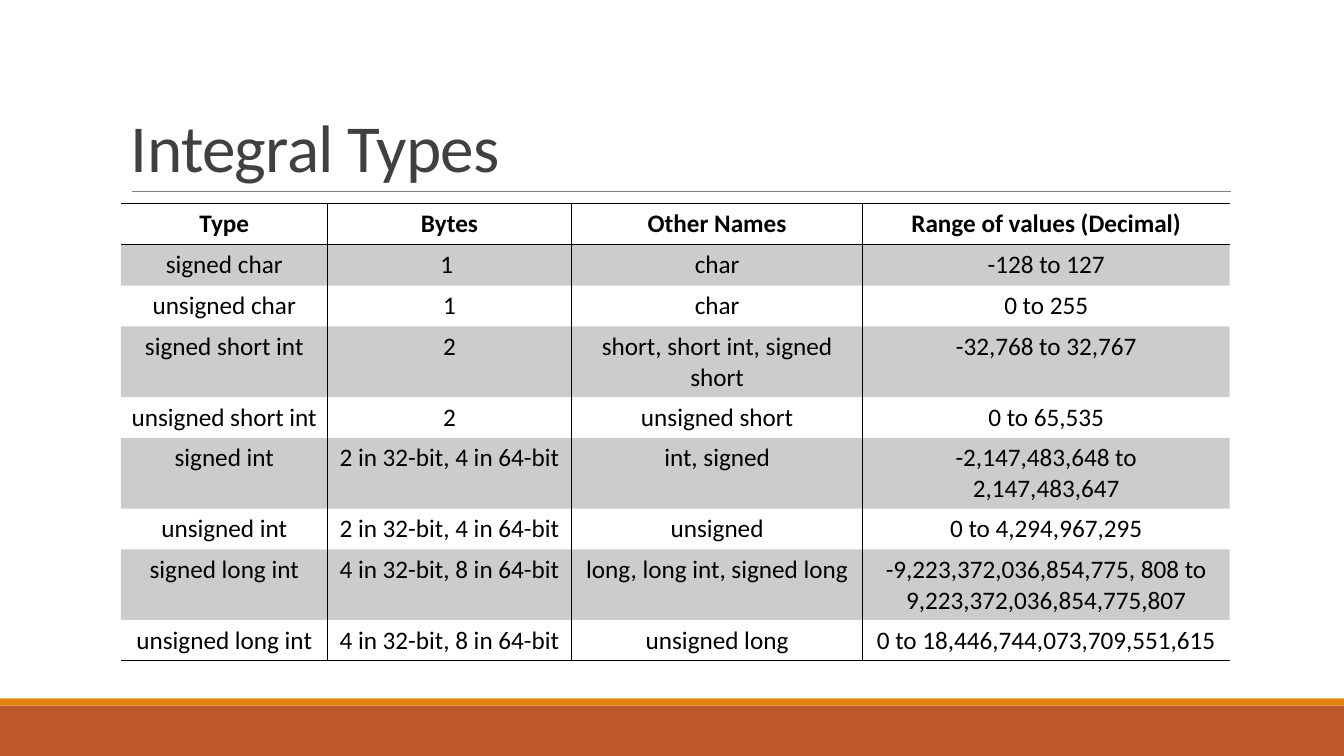
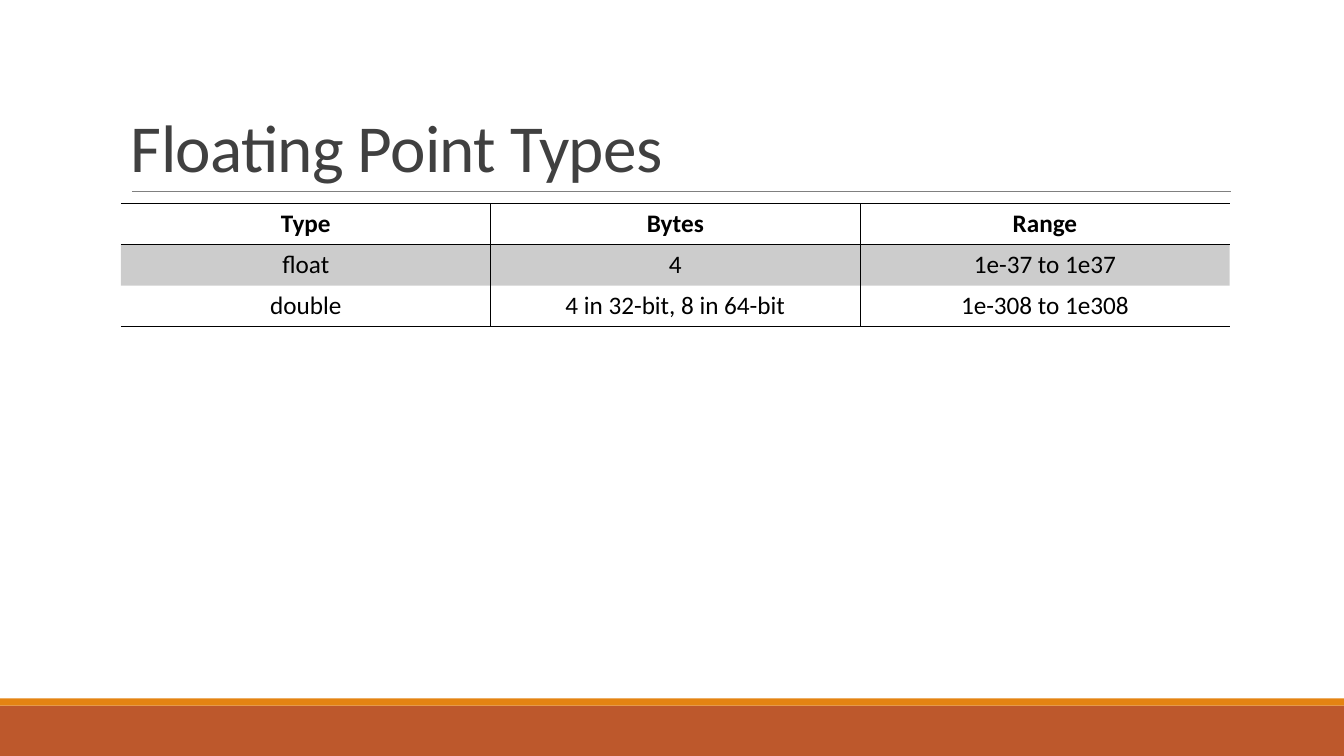
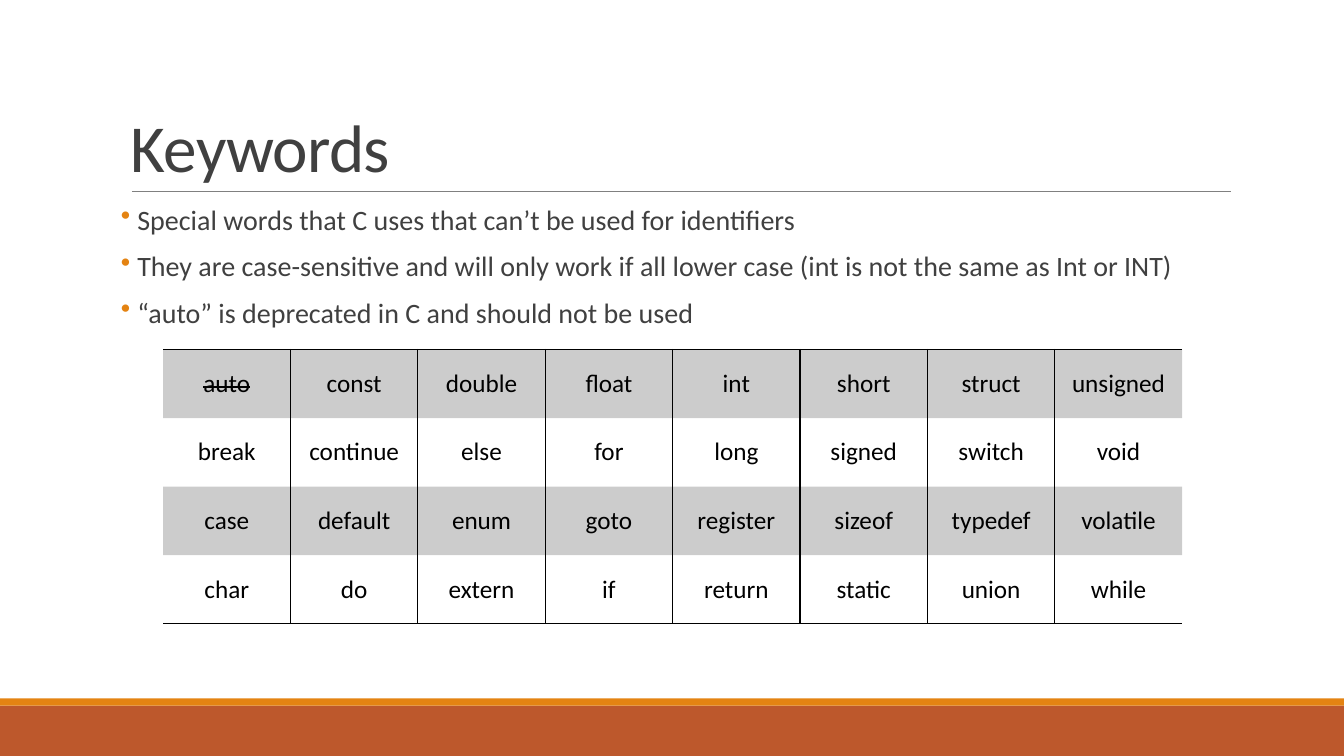
"""Build three slides on C data types and keywords."""
from dataclasses import dataclass
from typing import Optional

from lxml import etree
from pptx import Presentation
from pptx.dml.color import RGBColor
from pptx.enum.shapes import MSO_CONNECTOR, MSO_SHAPE
from pptx.enum.text import MSO_ANCHOR, PP_ALIGN
from pptx.oxml.ns import qn
from pptx.slide import Slide
from pptx.table import _Cell
from pptx.text.text import TextFrame, _Paragraph
from pptx.util import Pt

RECT = MSO_SHAPE.RECTANGLE
STRAIGHT = MSO_CONNECTOR.STRAIGHT
TOP, MIDDLE, BOTTOM = MSO_ANCHOR.TOP, MSO_ANCHOR.MIDDLE, MSO_ANCHOR.BOTTOM
LEFT, CENTER = PP_ALIGN.LEFT, PP_ALIGN.CENTER
NO_STYLE = "{2D5ABB26-0587-4C30-8999-92F81FD0307C}"


@dataclass(frozen=True)
class Theme:
    """Colours, type sizes and shared measures in points."""
    font: str = "Calibri"
    text: str = "404040"
    ink: str = "000000"
    rule: str = "808080"
    accent: str = "E48312"
    footer: str = "BD582C"
    title_size: float = 48
    body_size: float = 20
    table_size: float = 18
    stripe_opacity: int = 20
    left: float = 86.4
    width: float = 792
    content_top: float = 145.6


@dataclass(frozen=True)
class Band:
    """A full-width footer band."""
    top: float
    height: float
    color: str


@dataclass(frozen=True)
class TableSpec:
    """Contents and geometry of a striped table."""
    rows: list[list[str]]
    widths: list[float]
    left: float
    top: float
    row_height: float
    header: bool = True
    anchor: MSO_ANCHOR = TOP
    struck: tuple[str, ...] = ()


@dataclass(frozen=True)
class SlideSpec:
    """Title, bullets and table of one slide."""
    title: str
    table: TableSpec
    bullets: tuple[str, ...] = ()


THEME = Theme()
SLIDE_W, SLIDE_H = 960, 540
BANDS = [Band(504, 36, THEME.footer), Band(498.8, 5.2, THEME.accent)]

INTEGRAL_ROWS = [
    ["Type", "Bytes", "Other Names", "Range of values (Decimal)"],
    ["signed char", "1 ", "char", "-128 to 127"],
    ["unsigned char", "1", "char", "0 to 255"],
    ["signed short int", "2", "short, short int, signed short", "-32,768 to 32,767"],
    ["unsigned short int", "2", "unsigned short", "0 to 65,535"],
    ["signed int", "2 in 32-bit, 4 in 64-bit", "int, signed",
     "-2,147,483,648 to\n2,147,483,647"],
    ["unsigned int", "2 in 32-bit, 4 in 64-bit", "unsigned", "0 to 4,294,967,295"],
    ["signed long int", "4 in 32-bit, 8 in 64-bit", "long, long int, signed long",
     "-9,223,372,036,854,775, 808 to\n9,223,372,036,854,775,807"],
    ["unsigned long int", "4 in 32-bit, 8 in 64-bit", "unsigned long",
     "0 to 18,446,744,073,709,551,615"],
]
FLOAT_ROWS = [
    ["Type", "Bytes", "Range"],
    ["float", "4", "1e-37 to 1e37"],
    ["double", "4 in 32-bit, 8 in 64-bit", "1e-308 to 1e308"],
]
KEYWORDS = """auto break case char const continue default do double else enum extern
float for goto if int long register return short signed sizeof static
struct switch typedef union unsigned void volatile while""".split()
KEYWORD_ROWS = [KEYWORDS[i::4] for i in range(4)]

SLIDES = [
    SlideSpec("Integral Types", TableSpec(
        INTEGRAL_ROWS, [147.6, 174.2, 208.1, 262.1],
        THEME.left, THEME.content_top, 29.2)),
    SlideSpec("Floating Point Types", TableSpec(
        FLOAT_ROWS, [THEME.width / 3] * 3, THEME.left, THEME.content_top, 29.2)),
    SlideSpec(
        "Keywords",
        TableSpec(KEYWORD_ROWS, [91] * 8, 116.5, 249.6, 49,
                  header=False, anchor=MIDDLE, struck=("auto",)),
        (" Special words that C uses that can’t be used for identifiers",
         " They are case-sensitive and will only work if all lower case "
         "(int is not the same as Int or INT)",
         " “auto” is deprecated in C and should not be used")),
]


def rgb(color: str) -> RGBColor:
    """Convert a hex string to a colour."""
    return RGBColor.from_string(color)


def write_text(p: _Paragraph, text: str, *, size: float, color: str = THEME.text,
               bold: bool = False, strike: bool = False, tracking: float = 0,
               align: PP_ALIGN = LEFT, line_spacing: float = 1,
               before: float = 0, after: float = 0) -> None:
    """Fill a paragraph with formatted text."""
    p.text = text
    p.alignment, p.line_spacing = align, line_spacing
    p.space_before, p.space_after = Pt(before), Pt(after)
    for r in p.runs:
        r.font.name, r.font.size, r.font.bold = THEME.font, Pt(size), bold
        r.font.color.rgb = rgb(color)
        props = r.font._element
        if strike:
            props.set("strike", "sngStrike")
        if tracking:
            props.set("spc", str(round(tracking * 100)))


def add_bullet(p: _Paragraph, indent: float) -> None:
    """Give a paragraph a coloured hanging bullet."""
    props = p._p.get_or_add_pPr()
    props.set("marL", str(Pt(indent)))
    props.set("indent", str(-Pt(indent)))
    color = etree.SubElement(props, qn("a:buClr"))
    etree.SubElement(color, qn("a:srgbClr"), val=THEME.accent)
    etree.SubElement(props, qn("a:buChar"), char="•")


def add_box(s: Slide, top: float, height: float, anchor: MSO_ANCHOR) -> TextFrame:
    """Add a wrapping text box of the content width."""
    tf = s.shapes.add_textbox(
        Pt(THEME.left), Pt(top), Pt(THEME.width), Pt(height)).text_frame
    tf.word_wrap, tf.vertical_anchor = True, anchor
    return tf


def add_frame(s: Slide, title: str) -> None:
    """Draw the footer bands, title rule and title."""
    for band in BANDS:
        sp = s.shapes.add_shape(RECT, 0, Pt(band.top), Pt(SLIDE_W), Pt(band.height))
        sp.shadow.inherit = False
        sp.fill.solid()
        sp.fill.fore_color.rgb = rgb(band.color)
        sp.line.fill.background()
    rule = s.shapes.add_connector(STRAIGHT, Pt(94.3), Pt(136.8), Pt(879), Pt(136.8))
    rule.line.color.rgb, rule.line.width = rgb(THEME.rule), Pt(0.5)
    etree.SubElement(rule.element.spPr, qn("a:effectLst"))
    tf = add_box(s, 22.6, 114.2, BOTTOM)
    write_text(tf.paragraphs[0], title, size=THEME.title_size,
               tracking=-0.5, line_spacing=0.85)


def add_bullets(s: Slide, bullets: tuple[str, ...]) -> None:
    """Add the bulleted body text."""
    tf = add_box(s, THEME.content_top, 93.6, TOP)
    tf.margin_left = tf.margin_right = 0
    for i, text in enumerate(bullets):
        p = tf.add_paragraph() if i else tf.paragraphs[0]
        write_text(p, text, size=THEME.body_size, line_spacing=0.8, before=12, after=2)
        add_bullet(p, 7.2)


def set_borders(cell: _Cell, sides: dict[str, bool]) -> None:
    """Draw the chosen cell sides and clear the others."""
    props = cell._tc.get_or_add_tcPr()
    for side, shown in sides.items():
        ln = etree.SubElement(props, qn(f"a:ln{side}"), w=str(Pt(1)))
        fill = etree.SubElement(ln, qn("a:solidFill" if shown else "a:noFill"))
        if shown:
            etree.SubElement(fill, qn("a:srgbClr"), val=THEME.ink)


def fill_cell(cell: _Cell, striped: bool) -> None:
    """Shade a striped cell and leave any other clear."""
    if not striped:
        cell.fill.background()
        return
    cell.fill.solid()
    cell.fill.fore_color.rgb = rgb(THEME.ink)
    color = cell._tc.tcPr.find(f"{qn('a:solidFill')}/{qn('a:srgbClr')}")
    etree.SubElement(color, qn("a:alpha"), val=str(THEME.stripe_opacity * 1000))


def add_table(s: Slide, spec_: TableSpec) -> None:
    """Draw a striped table with ruled columns."""
    n_rows, n_cols = len(spec_.rows), len(spec_.widths)
    frame = s.shapes.add_table(
        n_rows, n_cols, Pt(spec_.left), Pt(spec_.top),
        Pt(sum(spec_.widths)), Pt(spec_.row_height * n_rows))
    table = frame.table
    table.first_row, table.horz_banding = spec_.header, False
    next(frame.element.iter(qn("a:tableStyleId"))).text = NO_STYLE
    for column, width in zip(table.columns, spec_.widths):
        column.width = Pt(width)
    for i, row in enumerate(spec_.rows):
        table.rows[i].height = Pt(spec_.row_height)
        is_header = spec_.header and i == 0
        for j, text in enumerate(row):
            cell = table.cell(i, j)
            cell.vertical_anchor = spec_.anchor
            write_text(cell.text_frame.paragraphs[0], text, size=THEME.table_size,
                       color=THEME.ink, bold=is_header,
                       strike=text in spec_.struck, align=CENTER)
            set_borders(cell, {
                "L": j > 0, "R": j < n_cols - 1,
                "T": i == 0 or (spec_.header and i == 1),
                "B": is_header or i == n_rows - 1})
            fill_cell(cell, i % 2 == int(spec_.header))


def main() -> None:
    """Build and save the presentation."""
    prs = Presentation()
    prs.slide_width, prs.slide_height = Pt(SLIDE_W), Pt(SLIDE_H)
    for content in SLIDES:
        s = prs.slides.add_slide(prs.slide_layouts[6])
        add_frame(s, content.title)
        if content.bullets:
            add_bullets(s, content.bullets)
        add_table(s, content.table)
    prs.save("out.pptx")


main()
